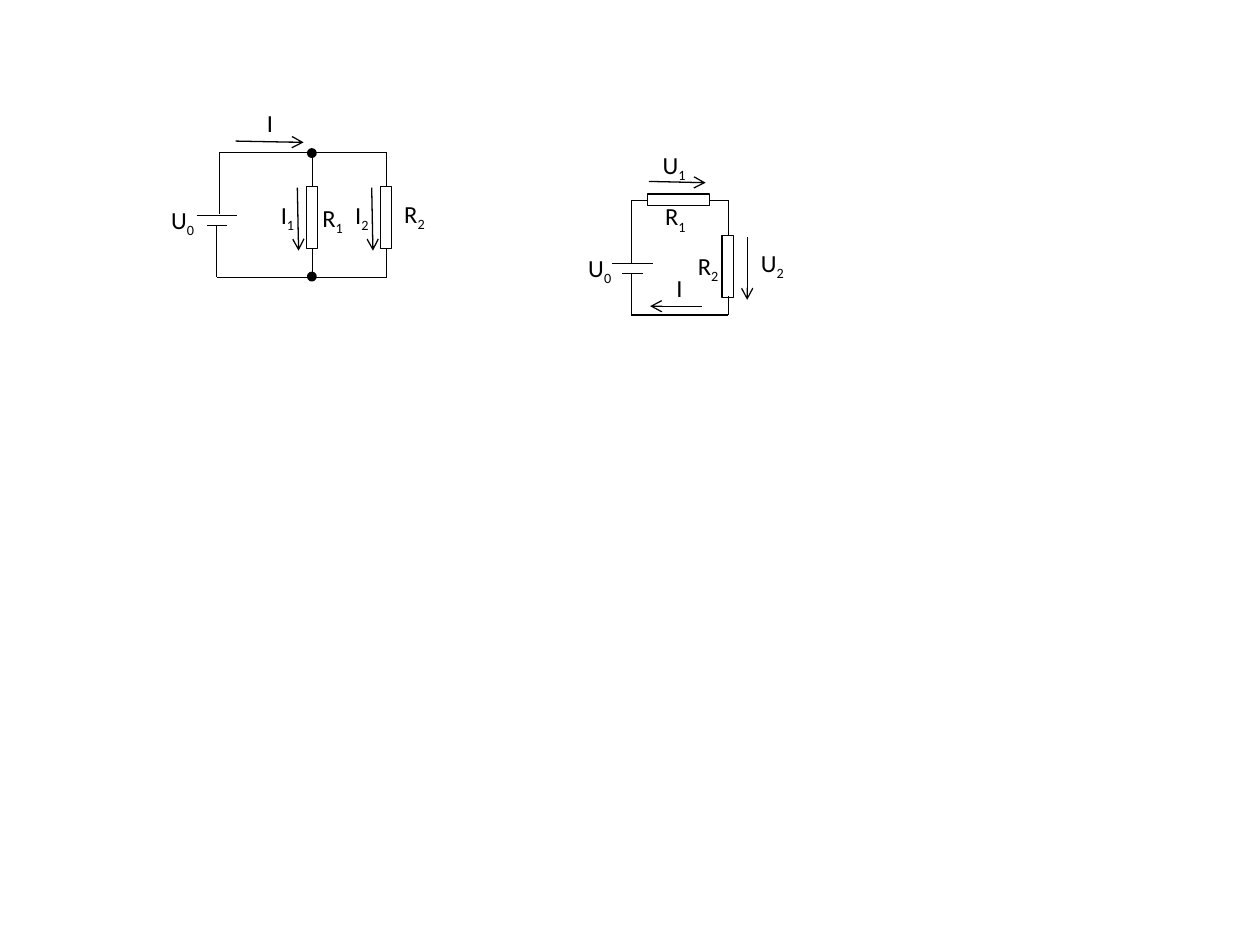
"""Draw a parallel and a series resistor circuit on one slide."""
from itertools import pairwise
from dataclasses import dataclass
from lxml import etree
from pptx import Presentation
from pptx.dml.color import RGBColor
from pptx.enum.shapes import MSO_CONNECTOR, MSO_SHAPE
from pptx.enum.text import MSO_AUTO_SIZE
from pptx.oxml.ns import qn
from pptx.util import Inches, Pt

LINE = MSO_CONNECTOR.STRAIGHT
RECT, OVAL = MSO_SHAPE.RECTANGLE, MSO_SHAPE.OVAL
FIT = MSO_AUTO_SIZE.SHAPE_TO_FIT_TEXT


@dataclass(frozen=True)
class Theme:
    ink: RGBColor = RGBColor(0, 0, 0)
    paper: RGBColor = RGBColor(255, 255, 255)
    font: str = "Calibri"
    size: Pt = Pt(14)
    thin: Pt = Pt(0.75)
    bold: Pt = Pt(2)


theme = Theme()
deck = Presentation()
deck.slide_width, deck.slide_height = Inches(10), Inches(7.5)
slide = deck.slides.add_slide(deck.slide_layouts[6])
unit = deck.slide_width / 10

long, slim, dot = 0.49, 0.09, 0.05
width = {"I": 0.25, "I1": 0.32, "I2": 0.32, "R1": 0.38, "R2": 0.38,
         "U0": 0.39, "U1": 0.39, "U2": 0.39}

circuits = [
    dict(
        panel=(1.32, 0.85, 2.14, 1.52),
        wires=[[(1.74, 1.7), (1.74, 1.21), (2.45, 1.21)],
               [(2.48, 1.24), (2.48, 1.48)],
               [(2.5, 1.21), (3.07, 1.21), (3.07, 1.48)],
               [(3.07, 1.97), (3.07, 2.2), (2.5, 2.2)],
               [(2.48, 1.97), (2.48, 2.17)],
               [(2.45, 2.2), (1.72, 2.2), (1.72, 1.79)]],
        cell=(1.72, 1.71),
        loads=[(2.43, 1.48, slim, long), (3.02, 1.48, slim, long)],
        nodes=[(2.45, 1.19), (2.45, 2.17)],
        arrows=[[(1.87, 1.12), (2.41, 1.13)],
                [(2.36, 1.49), (2.37, 1.99)],
                [(2.95, 1.49), (2.96, 1.99)]],
        labels=[("R2", 3.11, 1.53), ("R1", 2.46, 1.56), ("U0", 1.26, 1.58),
                ("I", 2.02, 0.81), ("I1", 2.13, 1.54), ("I2", 2.72, 1.54)],
    ),
    dict(
        panel=(4.54, 1.16, 1.74, 1.52),
        wires=[[(5.01, 2.09), (5.01, 1.59), (5.14, 1.59)],
               [(5.63, 1.59), (5.78, 1.59), (5.78, 1.87)],
               [(5.78, 2.35), (5.78, 2.5), (5.01, 2.5), (5.01, 2.17)]],
        cell=(5.02, 2.09),
        loads=[(5.73, 1.87, slim, long), (5.14, 1.54, long, slim)],
        nodes=[],
        arrows=[[(5.57, 2.43), (5.16, 2.43)],
                [(5.15, 1.44), (5.6, 1.45)],
                [(5.93, 1.88), (5.93, 2.38)]],
        labels=[("R2", 5.44, 1.94), ("R1", 5.18, 1.55), ("U0", 4.57, 1.96),
                ("I", 5.27, 2.12), ("U1", 5.16, 1.14), ("U2", 5.94, 1.92)],
    ),
]


def add_line(group, start, end, head=False):
    line = group.shapes.add_connector(LINE, *(round(n * unit) for n in start + end))
    line.line.color.rgb = theme.ink
    line.line.width = theme.thin
    props = line._element.spPr
    if head:
        etree.SubElement(props.find(qn("a:ln")), qn("a:tailEnd"), type="arrow")
    etree.SubElement(props, qn("a:effectLst"))


def add_form(group, kind, box, fill, edge, weight):
    form = group.shapes.add_shape(kind, *(round(n * unit) for n in box))
    form.shadow.inherit = False
    if fill is None:
        form.fill.background()
    else:
        form.fill.solid()
        form.fill.fore_color.rgb = fill
    form.line.color.rgb = edge
    form.line.width = weight


for plan in circuits:
    group = slide.shapes.add_group_shape()
    add_form(group, RECT, plan["panel"], theme.paper, theme.paper, theme.bold)

    mid, top = plan["cell"]
    for half, y in ((0.16, top), (0.08, top + 0.08)):
        add_line(group, (mid - half, y), (mid + half, y))
    for box in plan["loads"]:
        add_form(group, RECT, box, None, theme.ink, theme.thin)
    for x, y in plan["nodes"]:
        add_form(group, OVAL, (x, y, dot, dot), theme.ink, theme.ink, theme.bold)
    for wire in plan["wires"]:
        for start, end in pairwise(wire):
            add_line(group, start, end)
    for start, end in plan["arrows"]:
        add_line(group, start, end, head=True)

    for name, x, y in plan["labels"]:
        box = (x, y, width[name], 0.34)
        label = group.shapes.add_textbox(*(round(n * unit) for n in box))
        frame = label.text_frame
        frame.word_wrap = False
        frame.auto_size = FIT
        para = frame.paragraphs[0]
        para.font.name, para.font.size = theme.font, theme.size
        para.font.color.rgb = theme.ink
        para.add_run().text = name[0]
        if name[1:]:
            sub = para.add_run()
            sub.text = name[1:]
            sub._r.get_or_add_rPr().set("baseline", "-25000")

deck.save("out.pptx")
